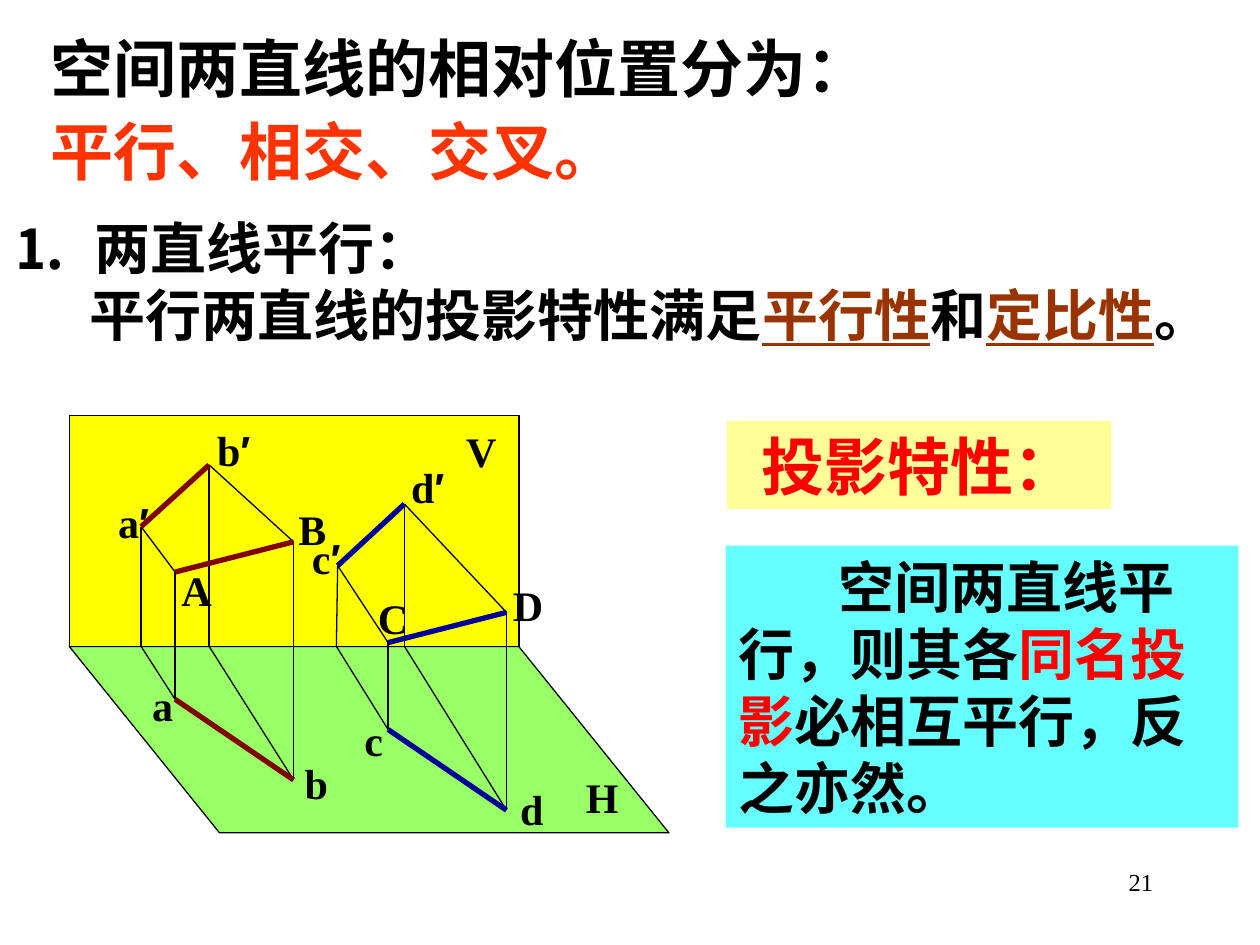
from lxml import etree
from pptx import Presentation
from pptx.dml.color import RGBColor
from pptx.enum.shapes import MSO_CONNECTOR, MSO_SHAPE
from pptx.enum.text import MSO_ANCHOR, PP_ALIGN
from pptx.oxml.ns import qn
from pptx.util import Inches, Pt

COLORS = {
    "black": "000000", "orange": "FF3300", "brown": "993300", "red": "FF0000",
    "maroon": "800000", "navy": "000099", "yellow": "FFFF00",
    "green": "99FF66", "cream": "FFFF99", "cyan": "66FFFF",
}
LATIN, CJK, PRIME = "Times New Roman", "Noto Sans CJK SC", "Arial"


def color(name):
    return RGBColor.from_string(COLORS[name])


def write(shape, paragraphs, size, bold=True, align=PP_ALIGN.LEFT,
          anchor=MSO_ANCHOR.MIDDLE, wrap=True, spacing=None):
    """Each paragraph is a list of (text, color, latin font) runs."""
    text_frame = shape.text_frame
    text_frame.word_wrap = wrap
    text_frame.vertical_anchor = anchor
    for index, runs in enumerate(paragraphs):
        paragraph = text_frame.add_paragraph() if index else text_frame.paragraphs[0]
        paragraph.alignment = align
        if spacing:
            paragraph.line_spacing = spacing
        for text, color_name, font_name in runs:
            run = paragraph.add_run()
            run.text = text
            run.font.size = Pt(size)
            run.font.bold = bold
            run.font.name = font_name
            run.font.color.rgb = color(color_name)
            run.font.underline = color_name == "brown"
            east_asian = etree.Element(qn("a:ea"), typeface=CJK)
            run.font._element.find(qn("a:latin")).addnext(east_asian)
    return text_frame.paragraphs


def add_block(kind, left, top, width, height, fill, outline=None):
    shape = slide.shapes.add_shape(
        kind, Inches(left), Inches(top), Inches(width), Inches(height))
    shape.shadow.inherit = False
    shape.fill.solid()
    shape.fill.fore_color.rgb = color(fill)
    if outline:
        shape.line.color.rgb = color(outline)
        shape.line.width = Pt(0.75)
    else:
        shape.line.fill.background()
    return shape


presentation = Presentation()
presentation.slide_width = Inches(10)
presentation.slide_height = Inches(7.5)
slide = presentation.slides.add_slide(presentation.slide_layouts[6])

# Title
title = slide.shapes.add_textbox(Inches(0.3), Inches(0.12), Inches(6.7), Inches(1.42))
write(title, [[("空间两直线的相对位置分为：", "black", LATIN)],
              [("平行、相交、交叉。", "orange", LATIN)]], 36, wrap=False, spacing=1.1)

# Section heading: tab after the number, indented second line
heading = slide.shapes.add_textbox(Inches(0), Inches(1.64), Inches(10), Inches(1.17))
number_line, property_line = write(heading, [
    [("⒈\t两直线平行：", "black", LATIN)],
    [("平行两直线的投影特性满足", "black", CJK), ("平行性", "brown", CJK),
     ("和", "black", CJK), ("定比性", "brown", CJK), ("。", "black", CJK)],
], 32)
tab_list = etree.SubElement(number_line._p.get_or_add_pPr(), qn("a:tabLst"))
etree.SubElement(tab_list, qn("a:tab"), pos=str(Inches(0.65)), algn="l")
property_line._p.get_or_add_pPr().set("indent", str(Inches(0.61)))

# Projection property panels
caption = add_block(MSO_SHAPE.RECTANGLE, 5.77, 3.34, 3.05, 0.7, "cream")
write(caption, [[("投影特性：", "red", LATIN)]], 36, align=PP_ALIGN.CENTER)

statement = add_block(MSO_SHAPE.RECTANGLE, 5.76, 4.33, 4.07, 2.24, "cyan")
statement_line = write(statement, [[
    ("空间两直线平行，则其各", "black", LATIN), ("同名投影", "red", LATIN),
    ("必相互平行，反之亦然。", "black", LATIN)]], 32)[0]
statement_line._p.get_or_add_pPr().set("indent", str(Inches(0.8)))

# Projection planes H and V
plane_h = add_block(MSO_SHAPE.PARALLELOGRAM, 0.55, 5.13, 4.76, 1.48, "green", "black")
plane_h.adjustments[0] = 0.806
plane_h._element.spPr.get_or_add_xfrm().set("flipH", "1")
add_block(MSO_SHAPE.RECTANGLE, 0.55, 3.3, 3.57, 1.83, "yellow", "black")

# Space points, their projections, and their feet on the axis (x)
points = {
    "A": (1.39, 4.54), "a": (1.39, 5.55), "a′": (1.12, 4.18), "ax": (1.12, 5.13),
    "B": (2.33, 4.3), "b": (2.33, 6.19), "b′": (1.66, 3.69), "bx": (1.66, 5.13),
    "C": (3.08, 5.1), "c": (3.08, 5.79), "c′": (2.68, 4.49), "cx": (2.67, 5.13),
    "D": (4.02, 4.86), "d": (4.02, 6.43), "d′": (3.21, 4), "dx": (3.21, 5.13),
}
segments = []
for low in "abcd":
    space, front, foot = low.upper(), low + "′", low + "x"
    for start, end in ((space, low), (low, foot), (foot, front), (front, space)):
        segments.append((start, end, "black", 0.75))
for first, second, line_color in (("a", "b", "maroon"), ("c", "d", "navy")):
    for start, end in ((first, second), (first + "′", second + "′"),
                       (first.upper(), second.upper())):
        segments.append((start, end, line_color, 3))

for start, end, line_color, width in segments:
    ends = [Inches(value) for value in points[start] + points[end]]
    connector = slide.shapes.add_connector(MSO_CONNECTOR.STRAIGHT, *ends)
    connector.line.color.rgb = color(line_color)
    connector.line.width = Pt(width)
    etree.SubElement(connector._element.spPr, qn("a:effectLst"))

# Point and plane labels: text, left, top, width
labels = [
    ("a", 1.11, 5.34, 0.36), ("b", 2.32, 5.96, 0.38),
    ("c", 2.79, 5.62, 0.35), ("d", 4.03, 6.17, 0.38),
    ("A", 1.34, 4.43, 0.44), ("B", 2.27, 3.95, 0.42),
    ("C", 2.9, 4.65, 0.44), ("D", 3.97, 4.55, 0.44),
    ("a′", 0.82, 3.89, 0.48), ("b′", 1.61, 3.32, 0.49),
    ("c′", 2.36, 4.18, 0.46), ("d′", 3.15, 3.61, 0.49),
    ("V", 3.6, 3.33, 0.44), ("H", 4.55, 6.07, 0.46),
]
for text, left, top, width in labels:
    label = slide.shapes.add_textbox(Inches(left), Inches(top), Inches(width), Inches(0.5))
    runs = [(letter, "black", PRIME if letter == "′" else LATIN) for letter in text]
    write(label, [runs], 24, align=PP_ALIGN.CENTER, wrap=False)

# Page number
page_number = slide.shapes.add_textbox(Inches(7.17), Inches(6.83), Inches(2.08), Inches(0.5))
write(page_number, [[("21", "black", LATIN)]], 14, bold=False,
      align=PP_ALIGN.RIGHT, anchor=MSO_ANCHOR.TOP)

presentation.save("out.pptx")
